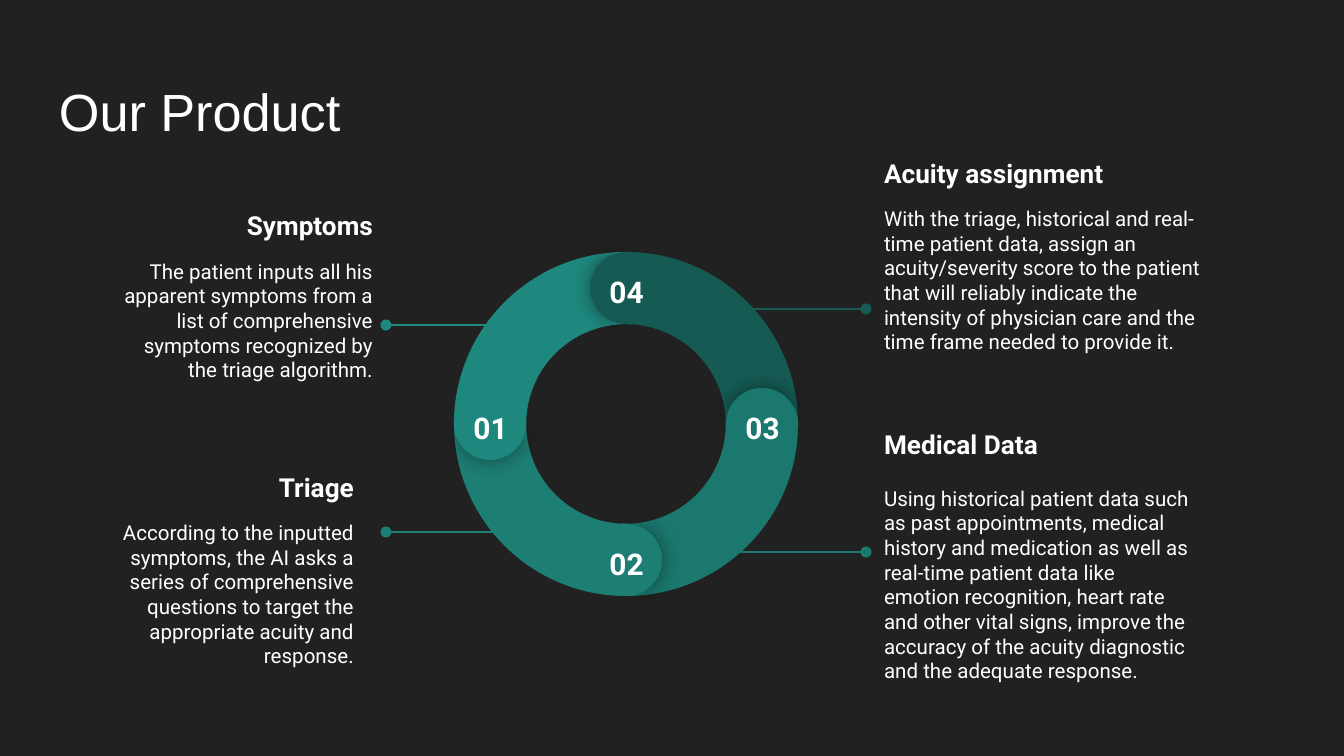
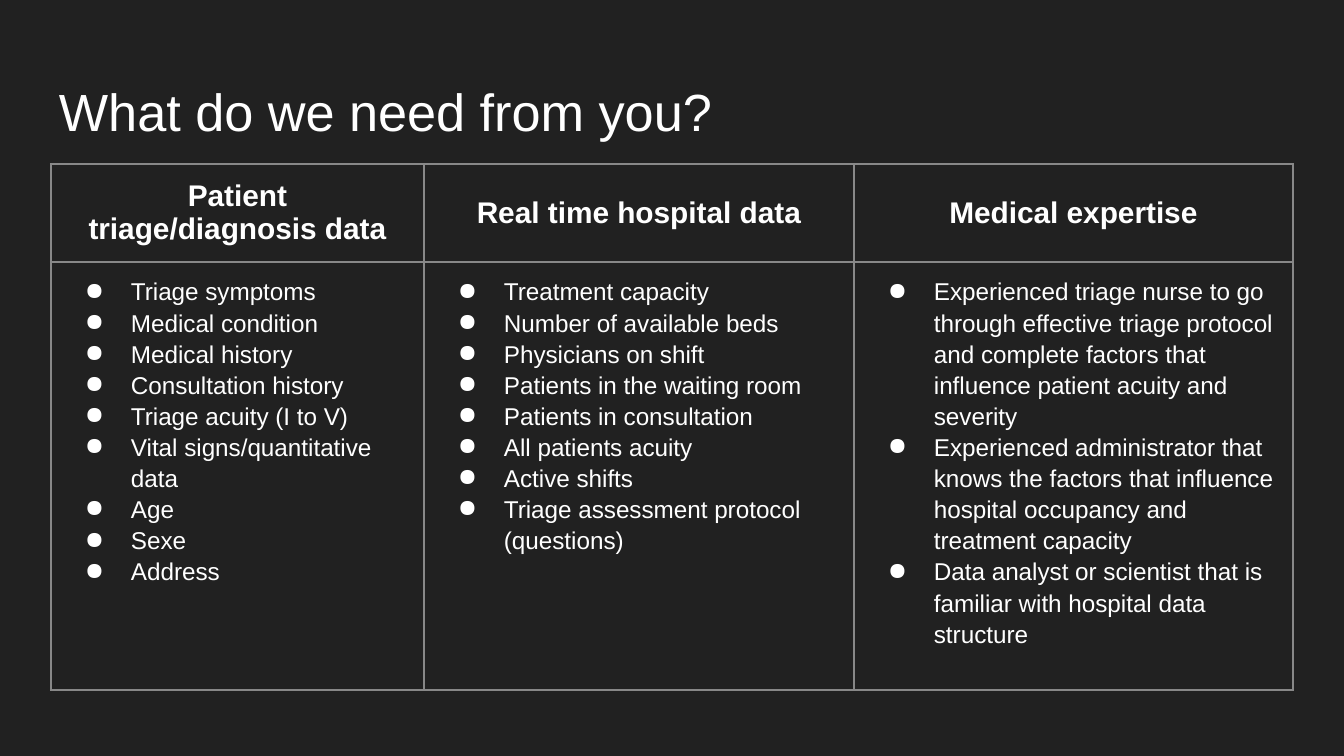
import math
from dataclasses import dataclass

from lxml import etree
from pptx import Presentation
from pptx import util as u
from pptx.dml.color import RGBColor
from pptx.enum import shapes, text
from pptx.oxml import ns


@dataclass(frozen=True)
class Theme:
    back: str = "212121"
    ink: str = "FFFFFF"
    grid: str = "888888"
    teals: tuple = ("1F887E", "1D7E74", "1B786E", "155B54")
    sans: str = "Arial"
    body: str = "Roboto"
    title: int = 28
    head: int = 16
    item: int = 13
    lead: int = 14
    note: int = 11


T = Theme()
INSET = 13
HUB = (626, 424)
RING = 344
CAP = 72
ARC = (126.2, 181.8, 0.21)
FRONT = (61.9, 149.96)
REAR = (40.28, 171.84)
LEFT, RIGHT = text.PP_ALIGN.LEFT, text.PP_ALIGN.RIGHT
MID, TOP = text.MSO_ANCHOR.MIDDLE, text.MSO_ANCHOR.TOP

NOTES = [
    ((98, 188, 288, 216), RIGHT, 9.4, "Symptoms",
     "The patient inputs all his apparent symptoms from a list of "
     "comprehensive symptoms recognized by the triage algorithm."),
    ((98, 450, 269, 239), RIGHT, 9.4, "Triage",
     "According to the inputted symptoms, the AI asks a series of "
     "comprehensive questions to target the appropriate acuity and response."),
    ((871, 421, 337, 269), LEFT, 14, "Medical Data",
     "Using historical patient data such as past appointments, medical "
     "history and medication as well as real-time patient data like emotion "
     "recognition, heart rate and other vital signs, improve the accuracy of "
     "the acuity diagnostic and the adequate response."),
    ((871, 121, 353, 269), LEFT, 9.4, "Acuity assignment",
     "With the triage, historical and real-time patient data, assign an "
     "acuity/severity score to the patient that will reliably indicate the "
     "intensity of physician care and the time frame needed to provide it."),
]
LINES = [(516, 386, 325), (550, 386, 532), (706, 866, 552), (706, 866, 309)]

NEEDS = [
    (373, "Patient\ntriage/diagnosis data",
     ["Triage symptoms", "Medical condition", "Medical history",
      "Consultation history", "Triage acuity (I to V)",
      "Vital signs/quantitative data", "Age", "Sexe", "Address"]),
    (430, "Real time hospital data",
     ["Treatment capacity", "Number of available beds", "Physicians on shift",
      "Patients in the waiting room", "Patients in consultation",
      "All patients acuity", "Active shifts",
      "Triage assessment protocol (questions)"]),
    (439, "Medical expertise",
     ["Experienced triage nurse to go through effective triage protocol and "
      "complete factors that influence patient acuity and severity",
      "Experienced administrator that knows the factors that influence "
      "hospital occupancy and treatment capacity",
      "Data analyst or scientist that is familiar with hospital data "
      "structure"]),
]


def px(n):
    return u.Emu(round(n * 914400 / 134.4))


def rgb(code):
    return RGBColor.from_string(code)


def node(parent, tag, **attrs):
    item = etree.SubElement(parent, ns.qn("a:" + tag))
    for key, val in attrs.items():
        item.set(key, str(val))
    return item


def style(para, size, face, bold=False, align=LEFT):
    para.alignment = align
    for run in para.runs:
        font = run.font
        font.size, font.name, font.bold = u.Pt(size), face, bold
        font.color.rgb = rgb(T.ink)


def add_text(slide, box, words, anchor=TOP):
    frame = slide.shapes.add_textbox(*map(px, box)).text_frame
    frame.word_wrap = True
    frame.vertical_anchor = anchor
    frame.margin_top = frame.margin_bottom = px(INSET)
    frame.margin_left = frame.margin_right = px(INSET)
    frame.text = words
    return frame.paragraphs


def add_slide(deck, title):
    slide = deck.slides.add_slide(deck.slide_layouts[6])
    fill = slide.background.fill
    fill.solid()
    fill.fore_color.rgb = rgb(T.back)
    para, = add_text(slide, (46, 66, 1253, 85), title)
    style(para, T.title, T.sans)
    return slide


def add_round(slide, kind, mid, size, turn, adjust, color):
    x, y = mid
    box = (x - size / 2, y - size / 2, size, size)
    shape = slide.shapes.add_shape(kind, *map(px, box))
    shape.rotation = turn % 360
    for k, val in enumerate(adjust):
        shape.adjustments[k] = val
    shape.fill.solid()
    shape.fill.fore_color.rgb = rgb(color)
    shape.line.fill.background()
    shape.shadow.inherit = False
    return shape


def add_glow(shape):
    effect = shape._element.spPr.find(ns.qn("a:effectLst"))
    outer = node(effect, "outerShdw", blurRad=u.Pt(11.2), dist=0, dir=0,
                 algn="ctr", rotWithShape=0)
    node(node(outer, "srgbClr", val="000000"), "alpha", val=43000)


def add_cap(slide, step, color):
    angle = math.radians(180 - 90 * step)
    reach = (RING - CAP) / 2
    x = HUB[0] + reach * math.cos(angle)
    y = HUB[1] + reach * math.sin(angle)
    pie = shapes.MSO_SHAPE.PIE
    turn = 270 - 90 * step
    add_glow(add_round(slide, pie, (x, y), CAP, turn + 0.7, FRONT, color))
    add_round(slide, pie, (x, y), CAP, turn - 180, REAR, color)
    para, = add_text(slide, (x - 31, y - 27, 63, 34), f"{step + 1:02}")
    style(para, T.head, T.body, True, text.PP_ALIGN.CENTER)


def add_note(slide, box, align, gap, head, words):
    top, body = add_text(slide, box, f"{head}\n{words}", MID)
    style(top, T.lead, T.body, True, align)
    style(body, T.note, T.body, False, align)
    body.space_before, body.space_after = u.Pt(gap), u.Pt(16)


def add_line(slide, start, end, y, color):
    line = slide.shapes.add_connector(
        shapes.MSO_CONNECTOR.STRAIGHT, *map(px, (start, y, end, y)))
    line.line.color.rgb = rgb(color)
    line.line.width = u.Pt(0.75)
    node(line.line._get_or_add_ln(), "tailEnd", type="oval")
    node(line._element.spPr, "effectLst")


def add_bullet(para):
    props = para._p.get_or_add_pPr()
    props.set("marL", str(px(67)))
    props.set("indent", str(-px(46)))
    node(node(props, "buClr"), "srgbClr", val=T.ink)
    node(props, "buChar", char="●")
    para.line_spacing = 1.15


def fill_cell(cell, words, anchor):
    cell.text_frame.text = words
    cell.vertical_anchor = anchor
    cell.margin_left = cell.margin_right = px(INSET)
    cell.margin_top = cell.margin_bottom = px(INSET)
    props = cell._tc.get_or_add_tcPr()
    for side in "LRTB":
        edge = node(props, "ln" + side, w=u.Pt(1.5))
        node(node(edge, "solidFill"), "srgbClr", val=T.grid)
    cell.fill.background()
    return cell.text_frame.paragraphs


def add_grid(slide, cols, rows):
    wide = sum(col[0] for col in cols)
    table = slide.shapes.add_table(
        len(rows), len(cols), *map(px, (51, 164, wide, sum(rows)))).table
    table.first_row = table.horz_banding = False
    for row, high in zip(table.rows, rows):
        row.height = px(high)
    for k, (width, head, items) in enumerate(cols):
        table.columns[k].width = px(width)
        for para in fill_cell(table.cell(0, k), head, MID):
            style(para, T.head, T.sans, True, text.PP_ALIGN.CENTER)
        for para in fill_cell(table.cell(1, k), "\n".join(items), TOP):
            add_bullet(para)
            style(para, T.item, T.sans)


def main():
    deck = Presentation()
    deck.slide_width, deck.slide_height = px(1344), px(756)

    slide = add_slide(deck, "Our Product")
    for step, color in enumerate(T.teals):
        add_round(slide, shapes.MSO_SHAPE.BLOCK_ARC, HUB, RING,
                  330 - 90 * step, ARC, color)
    for step, color in enumerate(T.teals):
        add_cap(slide, step, color)
    for note, line, color in zip(NOTES, LINES, T.teals):
        add_note(slide, *note)
        add_line(slide, *line, color)

    slide = add_slide(deck, "What do we need from you?")
    add_grid(slide, NEEDS, (98, 388))
    deck.save("out.pptx")


if __name__ == "__main__":
    main()
